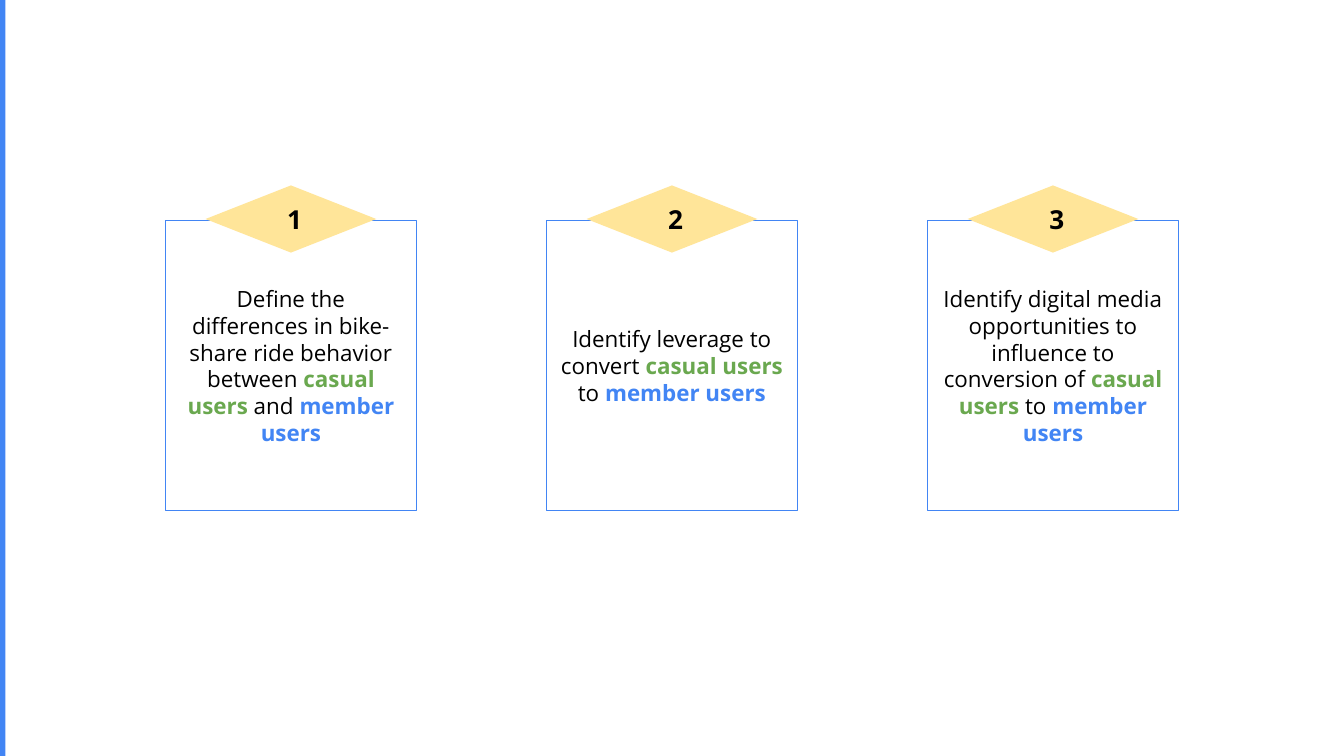
from typing import NamedTuple

from pptx import Presentation
from pptx.dml.color import RGBColor
from pptx.enum.shapes import MSO_SHAPE
from pptx.enum.text import MSO_ANCHOR, PP_ALIGN
from pptx.util import Inches, Pt

WIDE = 10
HIGH = WIDE * 9 / 16
BLUE, GREEN, GOLD, BLACK = "4285F4", "6AA84F", "FFE599", "000000"
FONT = "Open Sans"
CARD_W, CARD_H, CARD_TOP = 1.87, 2.16, 1.64
GEM_W, GEM_H, GEM_TOP = 1.27, 0.5, 1.38
SPAN = 5.67


class Box(NamedTuple):
    left: float
    top: float
    width: float
    height: float


class Goal(NamedTuple):
    lead: str
    link: str


GOALS = [
    Goal("Define the differences in bike-share ride behavior between ", " and "),
    Goal("Identify leverage to convert ", " to "),
    Goal("Identify digital media opportunities to influence to conversion of ", " to "),
]


def tint(code: str) -> RGBColor:
    return RGBColor.from_string(code)


def draw(slide, kind, box: Box, fill: str = "", line: str = ""):
    shape = slide.shapes.add_shape(kind, *map(Inches, box))
    shape.shadow.inherit = False
    if fill:
        shape.fill.solid()
        shape.fill.fore_color.rgb = tint(fill)
    else:
        shape.fill.background()
    if line:
        shape.line.color.rgb = tint(line)
        shape.line.width = Pt(0.75)
    else:
        shape.line.fill.background()
    return shape


def frame_up(shape, left: float = 0.1):
    frame = shape.text_frame
    frame.word_wrap = True
    frame.vertical_anchor = MSO_ANCHOR.MIDDLE
    frame.margin_left = Inches(left)
    frame.margin_top = frame.margin_right = frame.margin_bottom = Inches(0.1)
    return frame


def style(run, size: int, color: str, bold: bool) -> None:
    run.font.name = FONT
    run.font.size = Pt(size)
    run.font.bold = bold
    run.font.color.rgb = tint(color)


def draw_goal(slide, goal: Goal, number: int) -> None:
    mid = WIDE / 2 + (number - 2) * SPAN / 2
    card = draw(slide, MSO_SHAPE.RECTANGLE,
                Box(mid - CARD_W / 2, CARD_TOP, CARD_W, CARD_H), line=BLUE)
    para = frame_up(card).paragraphs[0]
    para.alignment = PP_ALIGN.CENTER
    for text, color in [(goal.lead, BLACK), ("casual users", GREEN),
                        (goal.link, BLACK), ("member users", BLUE)]:
        run = para.add_run()
        run.text = text
        style(run, 12, color, color in (GREEN, BLUE))

    gem = draw(slide, MSO_SHAPE.DIAMOND,
               Box(mid - GEM_W / 2, GEM_TOP, GEM_W, GEM_H), fill=GOLD)
    frame = frame_up(gem, left=0.29)
    frame.text = str(number)
    para = frame.paragraphs[0]
    para.alignment = PP_ALIGN.LEFT
    style(para.runs[0], 14, BLACK, True)


def main() -> None:
    deck = Presentation()
    deck.slide_width, deck.slide_height = Inches(WIDE), Inches(HIGH)
    slide = deck.slides.add_slide(deck.slide_layouts[6])
    draw(slide, MSO_SHAPE.RECTANGLE, Box(0, 0, 0.04, HIGH), fill=BLUE)
    for number, goal in enumerate(GOALS, 1):
        draw_goal(slide, goal, number)
    deck.save("out.pptx")


if __name__ == "__main__":
    main()
